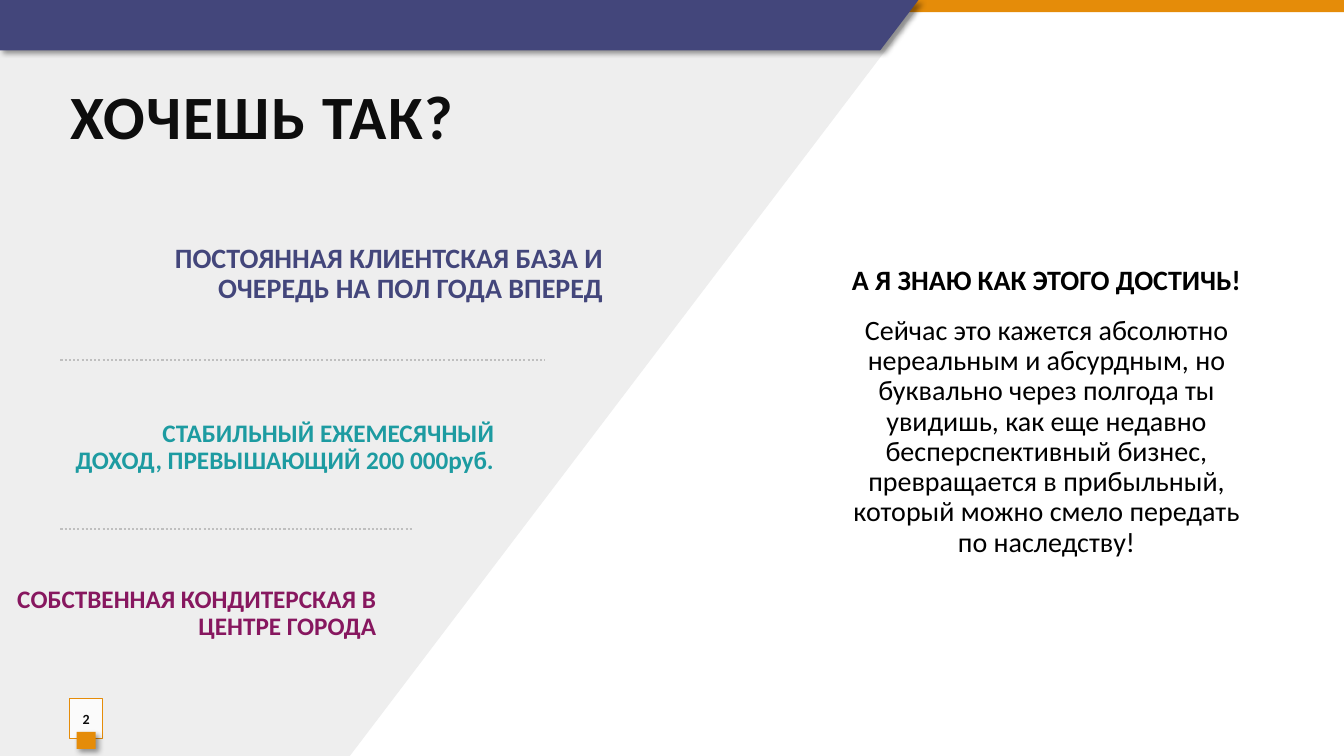
from lxml.etree import SubElement
from pptx import Presentation
from pptx.dml.color import RGBColor
from pptx.enum.dml import MSO_LINE
from pptx.enum.shapes import MSO_CONNECTOR, MSO_SHAPE
from pptx.enum.text import MSO_ANCHOR as ANCHOR, PP_ALIGN as ALIGN
from pptx.oxml.ns import qn
from pptx.util import Inches, Pt

COLORS = {
    "panel": "EEEEEE", "orange": "E58C09", "indigo": "43467B",
    "teal": "1D9BA1", "plum": "87175F", "title": "0D0D0D",
    "body": "000000", "white": "FFFFFF", "rule": "BFBFBF",
}


def rgb(name):
    return RGBColor.from_string(COLORS[name])


def add_shadow(sp):
    effects = sp._element.spPr.find(qn("a:effectLst"))
    shadow = SubElement(effects, qn("a:outerShdw"), blurRad=str(Pt(4)),
                        dist=str(Pt(3)), dir=str(45 * 60000), rotWithShape="0")
    color = SubElement(shadow, qn("a:srgbClr"), val="000000")
    SubElement(color, qn("a:alpha"), val="40000")


def paint(sp, fill, shadow=False):
    sp.fill.solid()
    sp.fill.fore_color.rgb = rgb(fill)
    sp.line.fill.background()
    sp.shadow.inherit = False
    if shadow:
        add_shadow(sp)
    return sp


def add_rect(s, box, fill, shadow=False):
    sp = s.shapes.add_shape(MSO_SHAPE.RECTANGLE, *map(Inches, box))
    return paint(sp, fill, shadow)


def add_polygon(s, points, fill, shadow=False):
    start, *rest = [(Inches(x), Inches(y)) for x, y in points]
    builder = s.shapes.build_freeform(*start)
    builder.add_line_segments(rest, close=True)
    return paint(builder.convert_to_shape(), fill, shadow)


def style(p, size, color, bold=True, align=ALIGN.LEFT):
    p.alignment = align
    p.font.name = "Calibri"
    p.font.size = Pt(size)
    p.font.bold = bold
    p.font.color.rgb = rgb(color)


def add_text(s, box, paragraphs, size, color, align, anchor=ANCHOR.MIDDLE):
    """Add a text box; paragraphs is a list of (text, bold) pairs."""
    tf = s.shapes.add_textbox(*map(Inches, box)).text_frame
    tf.word_wrap = True
    tf.vertical_anchor = anchor
    for i, (text, bold) in enumerate(paragraphs):
        p = tf.add_paragraph() if i else tf.paragraphs[0]
        p.text = text
        p.line_spacing = 0.9
        p.space_before = Pt(12 if i else 0)
        p.space_after = Pt(2)
        style(p, size, color, bold, align)
    return tf


def add_title(s, text):
    tf = add_text(s, (0.6, 0.72, 12.4, 1.51), [(text, True)], 44, "title",
                  ALIGN.LEFT, ANCHOR.TOP)
    p = tf.paragraphs[0]
    p.line_spacing = 1.0
    p.runs[0].font._element.set("spc", "100")


def add_rule(s, y, right):
    line = s.shapes.add_connector(MSO_CONNECTOR.STRAIGHT, Inches(0.6), Inches(y),
                                  Inches(right), Inches(y))
    line.line.color.rgb = rgb("rule")
    line.line.width = Pt(1.5)
    line.line.dash_style = MSO_LINE.ROUND_DOT
    SubElement(line._element.spPr, qn("a:effectLst"))


def add_page_number(s, number):
    sp = add_rect(s, (0.69, 6.93, 0.33, 0.4), "white")
    color = sp._element.spPr.find(qn("a:solidFill"))[0]
    SubElement(color, qn("a:alpha"), val="82000")
    sp.line.color.rgb = rgb("orange")
    sp.line.width = Pt(0.75)
    tf = sp.text_frame
    tf.margin_left = tf.margin_right = 0
    tf.vertical_anchor = ANCHOR.MIDDLE
    p = tf.paragraphs[0]
    p.text = number
    style(p, 10, "title", align=ALIGN.CENTER)
    add_rect(s, (0.76, 7.26, 0.19, 0.17), "orange", shadow=True)


def main():
    prs = Presentation()
    prs.slide_width, prs.slide_height = Inches(13.33), Inches(7.5)
    s = prs.slides.add_slide(prs.slide_layouts[6])

    # Slanted panel and top bands
    add_polygon(s, [(0, 0), (9.11, 0), (9.11, 0.07), (3.47, 7.5), (0, 7.5)], "panel")
    add_rect(s, (0, 0, 13.33, 0.12), "orange")
    add_polygon(s, [(0, 0), (9.11, 0), (8.73, 0.5), (0, 0.5)], "indigo", shadow=True)

    add_title(s, "ХОЧЕШЬ ТАК?")

    # Promise on the right
    add_text(s, (8.32, 0.99, 4.12, 6.2), [
        ("А Я ЗНАЮ КАК ЭТОГО ДОСТИЧЬ!", True),
        ("Сейчас это кажется абсолютно нереальным и абсурдным, но буквально "
         "через полгода ты увидишь, как еще недавно бесперспективный бизнес, "
         "превращается в прибыльный, который можно смело передать по "
         "наследству!", False),
    ], 20, "body", ALIGN.CENTER)

    # Goals on the left, following the slant
    goals = [
        ((0.68, 2.49, 5.4, 0.46), 20, "indigo",
         "ПОСТОЯННАЯ КЛИЕНТСКАЯ БАЗА И ОЧЕРЕДЬ НА ПОЛ ГОДА ВПЕРЕД"),
        ((0.6, 4.21, 4.4, 0.46), 18, "teal",
         "СТАБИЛЬНЫЙ ЕЖЕМЕСЯЧНЫЙ ДОХОД, ПРЕВЫШАЮЩИЙ 200 000руб."),
        ((-0.11, 5.86, 3.94, 0.46), 18, "plum",
         "СОБСТВЕННАЯ КОНДИТЕРСКАЯ В ЦЕНТРЕ ГОРОДА"),
    ]
    for box, size, color, text in goals:
        add_text(s, box, [(text, True)], size, color, ALIGN.RIGHT)

    # Dotted dividers
    for y, right in [(3.57, 5.4), (5.25, 4.1)]:
        add_rule(s, y, right)

    add_page_number(s, "2")
    prs.save("out.pptx")


if __name__ == "__main__":
    main()
